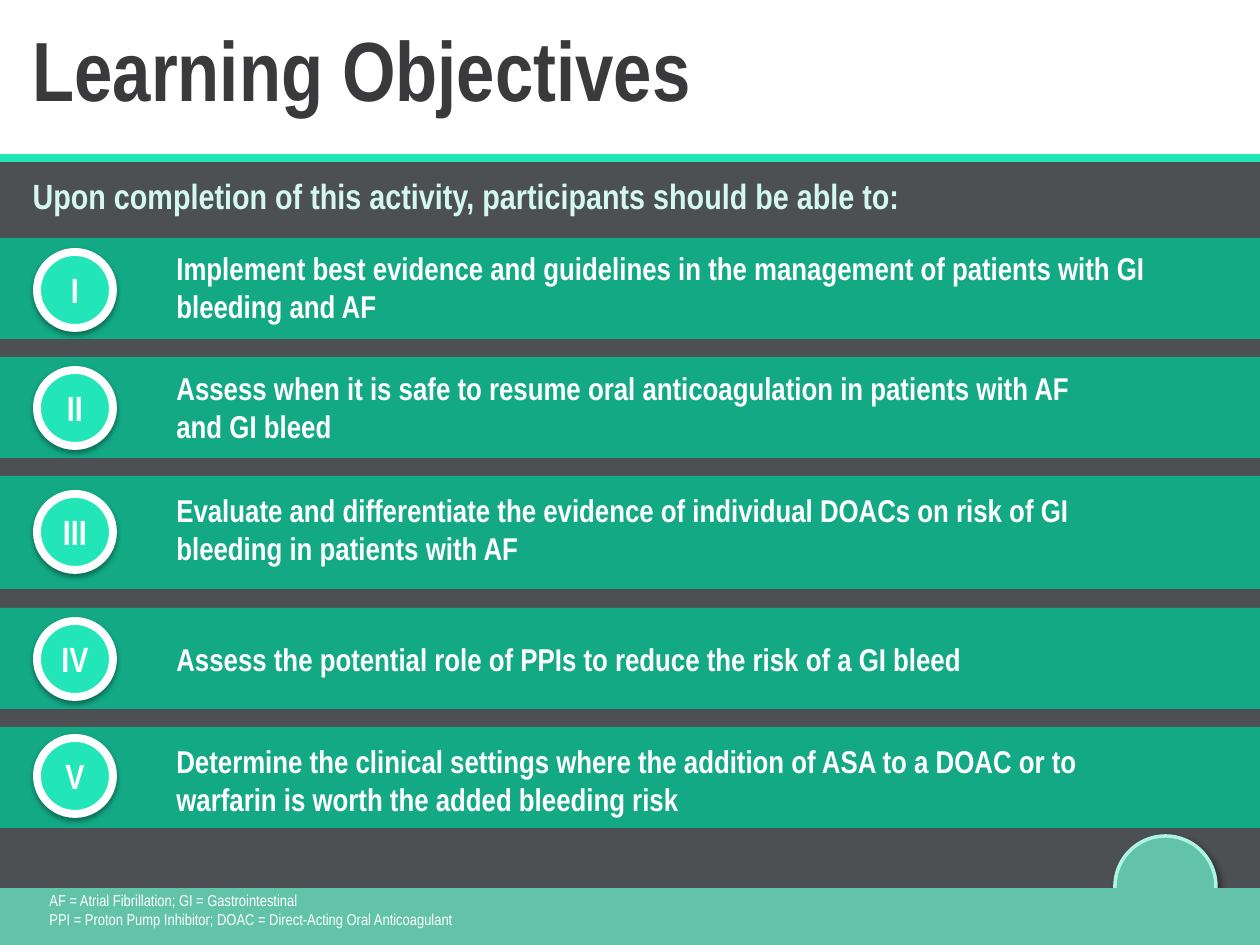
from lxml import etree
from pptx import Presentation
from pptx import util as u
from pptx.dml.color import RGBColor
from pptx.enum import shapes, text
from pptx.oxml.ns import qn

PX = 914400 / 126
WIDTH, HEIGHT = 1260, 945
FONT = "Arial Narrow"
COLORS = {
    "panel": "4D5052",
    "band": "13A985",
    "accent": "22E6B7",
    "footer": "62C3A8",
    "dome_edge": "AEF4E2",
    "heading": "3A3A3C",
    "lead": "D3F9EF",
    "white": "FFFFFF",
    "shadow": "000000",
}
NUMERAL_LEFT, NUMERAL_SIZE = 37, 76
OBJECTIVE_LEFT = 164

# numeral, band top, band height, numeral top, text top, text width, text height, objective
OBJECTIVES = [
    ("I", 238, 101, 252, 243, 1096, 89,
     "Implement best evidence and guidelines in the management of patients with GI bleeding and AF"),
    ("II", 357, 101, 370, 363, 964, 89,
     "Assess when it is safe to resume oral anticoagulation in patients with AF and GI bleed"),
    ("III", 476, 113, 494, 485, 997, 89,
     "Evaluate and differentiate the evidence of individual DOACs on risk of GI bleeding in patients with AF"),
    ("IV", 608, 101, 621, 634, 997, 50,
     "Assess the potential role of PPIs to reduce the risk of a GI bleed"),
    ("V", 727, 101, 738, 736, 997, 89,
     "Determine the clinical settings where the addition of ASA to a DOAC or to warfarin is worth the added bleeding risk"),
]
ABBREVIATIONS = [
    "AF = Atrial Fibrillation; GI = Gastrointestinal",
    "PPI = Proton Pump Inhibitor; DOAC = Direct-Acting Oral Anticoagulant",
]


def px(*lengths):
    return [u.Emu(round(length * PX)) for length in lengths]


def rgb(name):
    return RGBColor.from_string(COLORS[name])


def write(shape, *lines, size, color="white", bold=True,
          align=text.PP_ALIGN.LEFT, anchor=text.MSO_ANCHOR.TOP, wrap=True):
    frame = shape.text_frame
    frame.word_wrap = wrap
    frame.auto_size = text.MSO_AUTO_SIZE.NONE
    frame.vertical_anchor = anchor
    frame.text = "\n".join(lines)
    for paragraph in frame.paragraphs:
        paragraph.alignment = align
        paragraph.space_before = u.Pt(0)
        for run in paragraph.runs:
            run.font.name = FONT
            run.font.size = u.Pt(size)
            run.font.bold = bold
            run.font.color.rgb = rgb(color)


def add_text(slide, box, *lines, **style):
    write(slide.shapes.add_textbox(*px(*box)), *lines, **style)


def fill_placeholder(placeholder, box, line, **style):
    placeholder.left, placeholder.top, placeholder.width, placeholder.height = px(*box)
    write(placeholder, line, **style)


def add_bar(slide, top, height, color):
    """Add a borderless bar across the full slide width."""
    bar = slide.shapes.add_shape(shapes.MSO_SHAPE.RECTANGLE, *px(0, top, WIDTH, height))
    bar.shadow.inherit = False
    bar.fill.solid()
    bar.fill.fore_color.rgb = rgb(color)
    bar.line.fill.background()
    return bar


def add_shadow(shape, alpha, blur, distance, angle):
    """Cast an outer shadow: alpha in percent, lengths in points, angle in degrees."""
    shape.shadow.inherit = False
    effects = shape._element.spPr.find(qn("a:effectLst"))
    outer = etree.SubElement(effects, qn("a:outerShdw"), blurRad=str(u.Pt(blur)),
                             dist=str(u.Pt(distance)), dir=str(angle * 60000),
                             algn="ctr", rotWithShape="0")
    tint = etree.SubElement(outer, qn("a:srgbClr"), val=COLORS["shadow"])
    etree.SubElement(tint, qn("a:alpha"), val=str(alpha * 1000))


def add_circle(slide, left, top, size, fill, edge, edge_width, shadow):
    circle = slide.shapes.add_shape(shapes.MSO_SHAPE.FLOWCHART_CONNECTOR,
                                    *px(left, top, size, size))
    circle.fill.solid()
    circle.fill.fore_color.rgb = rgb(fill)
    circle.line.color.rgb = rgb(edge)
    circle.line.width = u.Pt(edge_width)
    add_shadow(circle, *shadow)
    return circle


def add_rule(slide, y, color, width):
    rule = slide.shapes.add_connector(shapes.MSO_CONNECTOR.STRAIGHT, *px(0, y, WIDTH, y))
    rule.line.color.rgb = rgb(color)
    rule.line.width = u.Pt(width)
    etree.SubElement(rule._element.spPr, qn("a:effectLst"))


def add_objective(slide, numeral, top, height, numeral_top, text_top,
                  text_width, text_height, objective):
    add_bar(slide, top, height, "band")
    badge = add_circle(slide, NUMERAL_LEFT, numeral_top, NUMERAL_SIZE,
                       "accent", "white", 4.5, (35, 3.1, 1.8, 90))
    write(badge, numeral, size=20, align=text.PP_ALIGN.CENTER,
          anchor=text.MSO_ANCHOR.MIDDLE, wrap=False)
    add_text(slide, (OBJECTIVE_LEFT, text_top, text_width, text_height), objective, size=18)


def remove_bullet(paragraph):
    properties = paragraph._p.get_or_add_pPr()
    properties.set("marL", "0")
    properties.set("indent", "0")
    etree.SubElement(properties, qn("a:buNone"))


def main():
    deck = Presentation()
    deck.slide_width, deck.slide_height = px(WIDTH, HEIGHT)
    slide = deck.slides.add_slide(deck.slide_layouts[1])
    heading, lead = slide.placeholders

    panel = add_bar(slide, 159, 735, "panel")
    slide.shapes._spTree.insert(2, panel._element)  # behind the placeholders
    add_rule(slide, 158, "accent", 4.5)

    fill_placeholder(heading, (20, 11, 1111, 115), "Learning Objectives",
                     size=48, color="heading")
    fill_placeholder(lead, (20, 168, 1184, 60),
                     "Upon completion of this activity, participants should be able to:",
                     size=20, color="lead")
    remove_bullet(lead.text_frame.paragraphs[0])

    for objective in OBJECTIVES:
        add_objective(slide, *objective)

    add_circle(slide, 1115, 836, 101, "footer", "dome_edge", 2, (40, 4, 3, 45))
    add_bar(slide, 888, 57, "footer")
    add_text(slide, (37, 885, 638, 60), *ABBREVIATIONS, size=9, bold=False)
    deck.save("out.pptx")


if __name__ == "__main__":
    main()
